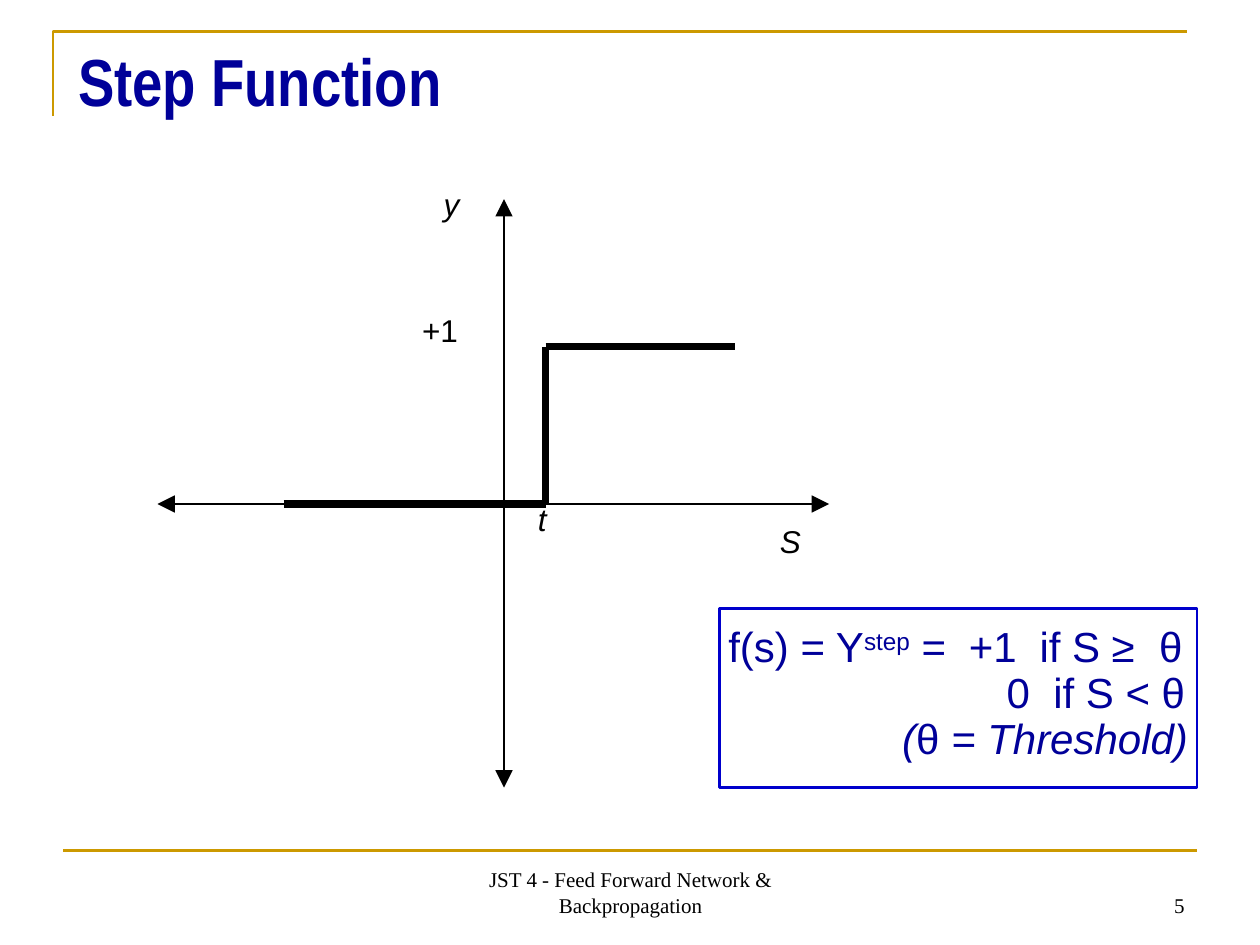
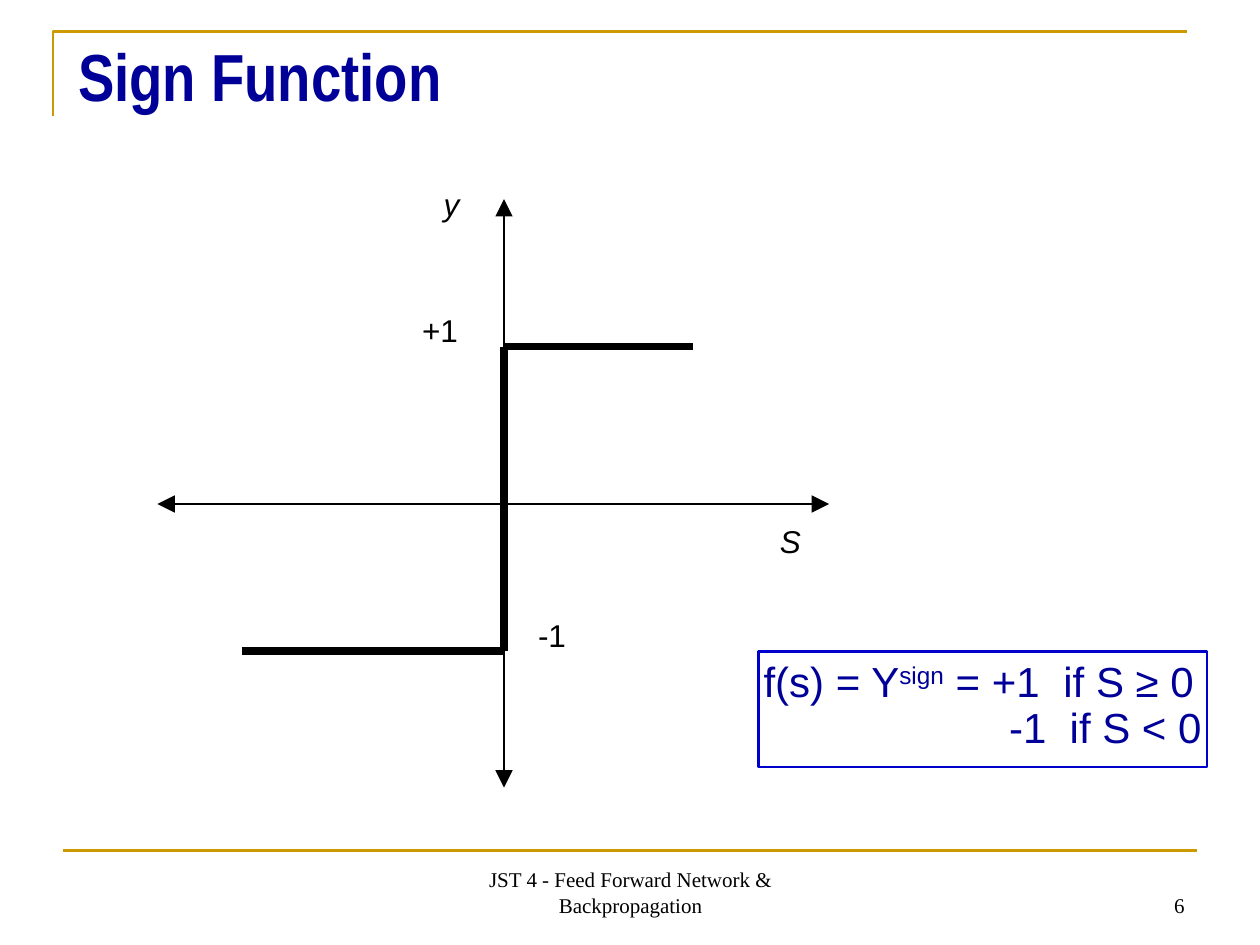
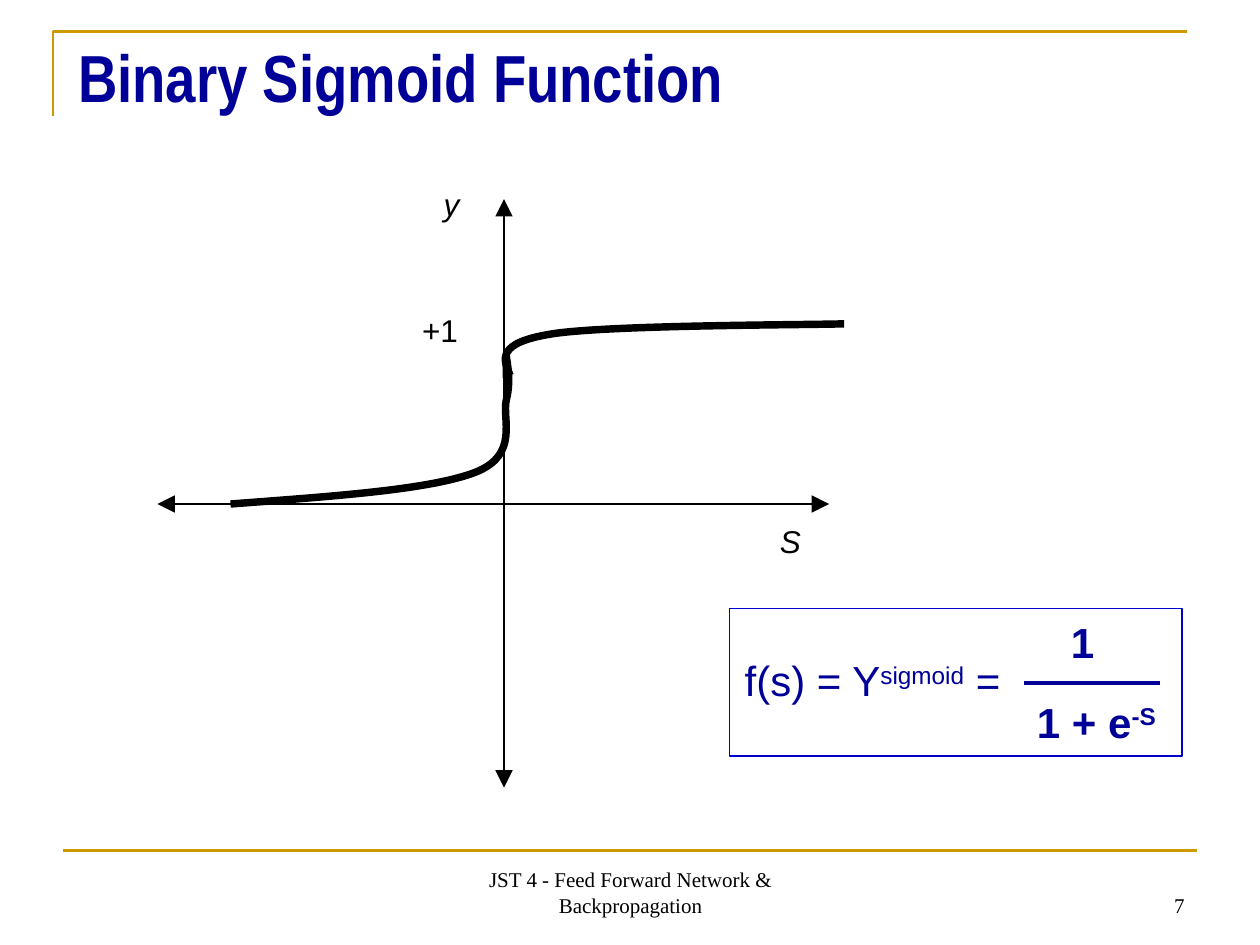
from dataclasses import dataclass

import pptx
import pptx.dml.color
import pptx.enum.shapes
import pptx.enum.text
import pptx.oxml.ns
import pptx.util
from lxml import etree
from pptx.util import Inches

COLORS = {"gold": "CC9900", "navy": "000099", "border": "0000CC", "black": "000000"}
FOOTER = "JST 4 - Feed Forward Network & Backpropagation"
FIRST_NUMBER = 5
TITLE_LAYOUT = 5
ORIGIN = (4, 4)
TIGHT = 0.72
ALIGN = pptx.enum.text.PP_ALIGN
ANCHOR = pptx.enum.text.MSO_ANCHOR
SHAPE = pptx.enum.shapes.MSO_SHAPE

Point = tuple[float, float]
Box = tuple[float, float, float, float]


@dataclass(frozen=True)
class Run:
    text: str
    raised: bool = False
    italic: bool = False


@dataclass(frozen=True)
class Row:
    runs: tuple[Run, ...]
    tabs: tuple[float, ...] = ()


@dataclass(frozen=True)
class Label:
    text: str
    box: Box
    italic: bool = False


@dataclass(frozen=True)
class Segment:
    start: Point
    end: Point
    width: float = 4.25


@dataclass(frozen=True)
class FunctionSlide:
    title: str
    title_box: Box
    labels: tuple[Label, ...] = ()
    segments: tuple[Segment, ...] = ()
    formula_box: Box | None = None
    formula_inset: float = 0.02
    formula: tuple[Row, ...] = ()


AXIS_LABELS = (
    Label("S", (6.17, 4.17, 0.32, 0.4), italic=True),
    Label("y", (3.5, 1.5, 0.31, 0.4), italic=True),
    Label("+1", (3.33, 2.5, 0.46, 0.4)),
)

FUNCTION_SLIDES = (
    FunctionSlide(
        "Step Function",
        (0.6, 0.21, 8.5, 0.85),
        labels=(Label("t", (4.25, 4, 0.27, 0.4), italic=True),),
        segments=(
            Segment((2.25, 4), (4.33, 4), 4.5),
            Segment((4.33, 4), (4.33, 2.75)),
            Segment((4.33, 2.75), (5.83, 2.75)),
        ),
        formula_box=(5.71, 4.83, 3.79, 1.42),
        formula_inset=0.07,
        formula=(
            Row((Run("f(s) = Y"), Run("step", raised=True), Run(" =\t+1\tif S ≥\tθ")),
                tabs=(1.91, 2.47, 3.42)),
            Row((Run("\t0\tif S < θ"),), tabs=(2.21, 2.58)),
            Row((Run("\t(", italic=True), Run("θ"), Run(" = Threshold)", italic=True)),
                tabs=(1.38,)),
        ),
    ),
    FunctionSlide(
        "Sign Function",
        (0.6, 0.13, 8.5, 0.93),
        labels=(Label("-1", (4.25, 4.92, 0.41, 0.68)),),
        segments=(
            Segment((1.92, 5.17), (4, 5.17), 4.5),
            Segment((4, 5.17), (4, 2.75)),
            Segment((4, 2.75), (5.5, 2.75)),
        ),
        formula_box=(6.02, 5.17, 3.56, 0.92),
        formula_inset=0.04,
        formula=(
            Row((Run("f(s) = Y"), Run("sign", raised=True), Run(" = +1\tif S ≥ 0")),
                tabs=(2.38,)),
            Row((Run("\t-1\tif S < 0"),), tabs=(1.95, 2.43)),
        ),
    ),
    FunctionSlide("Binary Sigmoid Function", (0.6, 0.14, 8.5, 0.93)),
)

# Each curve is a start point, then two controls and an end for every cubic piece.
SIGMOID_CURVES = (
    [(1.83, 4),
     (2.62, 3.94), (3.4, 3.89), (3.77, 3.75),
     (4.13, 3.61), (3.98, 3.32), (4.02, 3.17),
     (4.06, 3.01), (4.02, 2.86), (4.02, 2.83),
     (4.02, 2.81), (4.02, 2.9), (4.02, 3)],
    [(4.05, 2.98),
     (3.99, 2.85), (3.94, 2.72), (4.38, 2.65),
     (4.82, 2.58), (6.32, 2.58), (6.7, 2.57)],
)

SIGMOID_FORMULA = (
    ((8.48, 4.95, 0.36, 0.5), (Run("1"),), True),
    ((8.21, 5.58, 1.2, 0.5), (Run("1 + e"), Run("-S", raised=True)), True),
    ((5.89, 5.25, 2.57, 0.5),
     (Run("f(s) = Y"), Run("sigmoid", raised=True), Run(" =")), False),
)


def rgb(name: str) -> pptx.dml.color.RGBColor:
    return pptx.dml.color.RGBColor.from_string(COLORS[name])


def place(box: Box) -> tuple:
    return tuple(Inches(length) for length in box)


def style_line(line, color: str, width: float) -> None:
    line.color.rgb = rgb(color)
    line.width = pptx.util.Pt(width)


def add_tabs(paragraph, stops: tuple[float, ...]) -> None:
    properties = paragraph._p.get_or_add_pPr()
    tab_list = etree.SubElement(properties, pptx.oxml.ns.qn("a:tabLst"))
    for stop in stops:
        etree.SubElement(tab_list, pptx.oxml.ns.qn("a:tab"), pos=str(Inches(stop)), algn="l")


def write_text(shape, content: str | tuple[Row, ...], *, size: float, font: str = "Arial",
               color: str = "black", bold: bool = False, italic: bool = False,
               align=ALIGN.LEFT, anchor=ANCHOR.TOP, spacing: float = 1,
               before: float = 0, left_inset: float = 0.02,
               right_inset: float = 0.02) -> None:
    frame = shape.text_frame
    frame.word_wrap = True
    frame.auto_size = pptx.enum.text.MSO_AUTO_SIZE.NONE
    frame.vertical_anchor = anchor
    frame.margin_left = Inches(left_inset)
    frame.margin_right = Inches(right_inset)
    frame.margin_top = frame.margin_bottom = Inches(0.05)
    rows = (Row((Run(content),)),) if isinstance(content, str) else content
    for index, row in enumerate(rows):
        paragraph = frame.add_paragraph() if index else frame.paragraphs[0]
        if row.tabs:
            add_tabs(paragraph, row.tabs)
        paragraph.alignment = align
        paragraph.line_spacing = spacing
        paragraph.space_before = pptx.util.Pt(before if index else 0)
        for part in row.runs:
            run = paragraph.add_run()
            run.text = part.text
            run.font.name = font
            run.font.size = pptx.util.Pt(size)
            run.font.bold = bold
            run.font.italic = italic or part.italic
            run.font.color.rgb = rgb(color)
            if part.raised:
                run._r.get_or_add_rPr().set("baseline", "30000")


def add_text(slide, box: Box, content: str | tuple[Row, ...], **text_format) -> None:
    write_text(slide.shapes.add_textbox(*place(box)), content, **text_format)


def add_line(slide, start: Point, end: Point, color: str, width: float,
             arrows: bool = False):
    connector = slide.shapes.add_connector(
        pptx.enum.shapes.MSO_CONNECTOR.STRAIGHT, *place((*start, *end)))
    style_line(connector.line, color, width)
    if arrows:
        line_element = connector.line._get_or_add_ln()
        for tag in ("a:headEnd", "a:tailEnd"):
            etree.SubElement(line_element, pptx.oxml.ns.qn(tag),
                             type="triangle", w="lg", len="lg")
    etree.SubElement(connector._element.spPr, pptx.oxml.ns.qn("a:effectLst"))
    return connector


def add_outline(slide, points: list[Point], color: str, width: float):
    (left, top), *others = points
    builder = slide.shapes.build_freeform(Inches(left), Inches(top))
    builder.add_line_segments([(Inches(x), Inches(y)) for x, y in others], close=False)
    shape = builder.convert_to_shape()
    shape.shadow.inherit = False
    shape.fill.background()
    style_line(shape.line, color, width)
    return shape


def add_curve(slide, points: list[Point], color: str, width: float) -> None:
    """Draw an outline whose points, after the first, are cubic Bézier triples."""
    shape = add_outline(slide, points, color, width)
    lines = list(shape.element.iter(pptx.oxml.ns.qn("a:lnTo")))
    for first in range(0, len(lines), 3):
        triple = lines[first:first + 3]
        curve = etree.Element(pptx.oxml.ns.qn("a:cubicBezTo"))
        triple[0].addprevious(curve)
        for line in triple:
            curve.append(line[0])
            line.getparent().remove(line)


def add_frame(slide, kind, box: Box, width: float):
    shape = slide.shapes.add_shape(kind, *place(box))
    shape.shadow.inherit = False
    shape.fill.background()
    style_line(shape.line, "border", width)
    return shape


def move_rules_to_layout(slide) -> None:
    """Draw the gold rules once and hand them to the layout all slides use."""
    rules = (
        add_outline(slide, [(0.42, 0.92), (0.42, 0.25), (9.42, 0.25)], "gold", 1.5),
        add_line(slide, (0.5, 6.75), (9.5, 6.75), "gold", 1.5),
    )
    for rule in rules:
        slide.slide_layout.shapes.element.append(rule.element)


def add_title_and_footer(slide, content: FunctionSlide, number: int) -> None:
    title = slide.shapes.title
    title.left, title.top, title.width, title.height = place(content.title_box)
    write_text(title, content.title, size=38, font="Arial Narrow", color="navy",
               bold=True, anchor=ANCHOR.MIDDLE)
    for box, text, align in (
        ((3.42, 6.83, 3.17, 0.5), FOOTER, ALIGN.CENTER),
        ((7.17, 6.83, 2.33, 0.5), str(number), ALIGN.RIGHT),
    ):
        add_text(slide, box, text, size=12, font="Times New Roman", align=align,
                 anchor=ANCHOR.BOTTOM, left_inset=0.1, right_inset=0.1)


def add_graph(slide, content: FunctionSlide) -> None:
    x, y = ORIGIN
    add_line(slide, (x, 1.58), (x, 6.25), "black", 1, arrows=True)
    add_line(slide, (1.25, y), (6.58, y), "black", 1, arrows=True)
    for segment in content.segments:
        add_line(slide, segment.start, segment.end, "black", segment.width)
    for label in AXIS_LABELS + content.labels:
        add_text(slide, label.box, label.text, size=18, italic=label.italic, spacing=TIGHT)


def add_boxed_formula(slide, content: FunctionSlide) -> None:
    frame = add_frame(slide, SHAPE.RECTANGLE, content.formula_box, 1.25)
    write_text(frame, content.formula, size=24, color="navy", anchor=ANCHOR.MIDDLE,
               spacing=TIGHT, before=5.5, left_inset=content.formula_inset,
               right_inset=0)


def add_sigmoid(slide) -> None:
    for points in SIGMOID_CURVES:
        add_curve(slide, points, "black", 4.25)
    frame = add_frame(slide, SHAPE.ROUNDED_RECTANGLE, (5.79, 4.83, 3.59, 1.17), 0.75)
    frame.adjustments[0] = 0
    for box, runs, bold in SIGMOID_FORMULA:
        add_text(slide, box, (Row(runs),), size=24, color="navy", bold=bold, spacing=TIGHT)
    add_line(slide, (8.13, 5.42), (9.21, 5.42), "navy", 2)


def main() -> None:
    presentation = pptx.Presentation()
    presentation.slide_width = Inches(10)
    presentation.slide_height = Inches(7.5)
    layout = presentation.slide_layouts[TITLE_LAYOUT]
    for number, content in enumerate(FUNCTION_SLIDES, FIRST_NUMBER):
        slide = presentation.slides.add_slide(layout)
        if number == FIRST_NUMBER:
            move_rules_to_layout(slide)
        add_title_and_footer(slide, content, number)
        add_graph(slide, content)
        if content.formula_box:
            add_boxed_formula(slide, content)
        else:
            add_sigmoid(slide)
    presentation.save("out.pptx")


if __name__ == "__main__":
    main()
